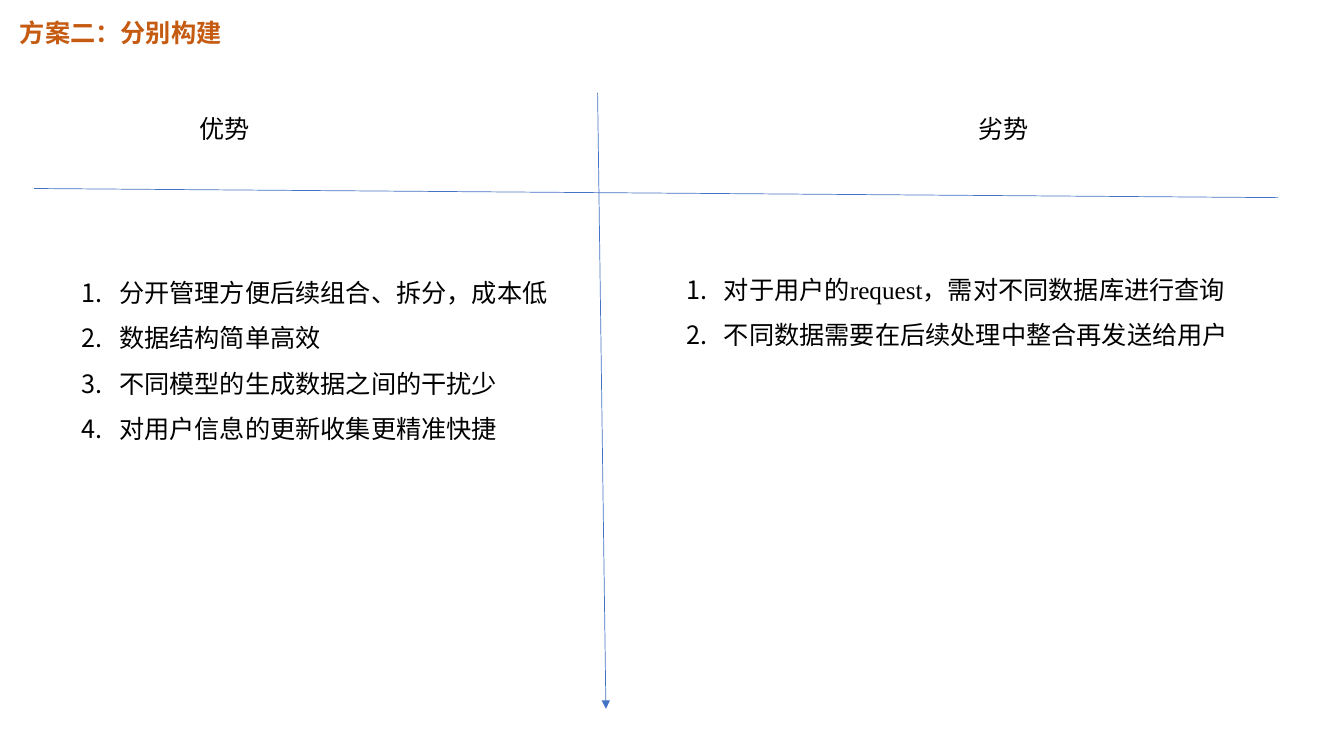
from dataclasses import dataclass

from lxml.etree import SubElement
from pptx import Presentation
from pptx.dml.color import RGBColor
from pptx.enum.shapes import MSO_CONNECTOR
from pptx.enum.text import MSO_ANCHOR, MSO_AUTO_SIZE, PP_ALIGN
from pptx.oxml.ns import qn
from pptx.slide import Slide
from pptx.util import Cm, Pt


@dataclass(frozen=True)
class Theme:
    heading: RGBColor = RGBColor(0xC5, 0x5A, 0x11)
    text: RGBColor = RGBColor(0, 0, 0)
    axis: RGBColor = RGBColor(0x44, 0x72, 0xC4)
    size: Pt = Pt(18)
    axis_width: Pt = Pt(0.5)
    cjk_font: str = "Noto Sans CJK SC"
    latin_font: str = "Times New Roman"


THEME = Theme()


@dataclass(frozen=True)
class TextBlock:
    placeholder: int
    box: tuple[float, float, float, float]  # left, top, width, height in cm
    lines: tuple[str, ...]
    color: RGBColor = THEME.text
    font: str = THEME.cjk_font
    bold: bool = False
    numbered: bool = False


@dataclass(frozen=True)
class Axis:
    start: tuple[float, float]
    end: tuple[float, float]
    arrow: bool = False


BLOCKS = (
    TextBlock(0, (0.25, 0.3, 5.69, 1.02), ("方案二：分别构建",),
              color=THEME.heading, bold=True),
    TextBlock(1, (4.78, 2.74, 1.8, 1.02), ("优势",)),
    TextBlock(3, (24.41, 2.74, 1.8, 1.02), ("劣势",)),
    TextBlock(2, (1.8, 6.48, 12.37, 4.7), (
        "分开管理方便后续组合、拆分，成本低",
        "数据结构简单高效",
        "不同模型的生成数据之间的干扰少",
        "对用户信息的更新收集更精准快捷",
    ), numbered=True),
    TextBlock(4, (17.04, 6.4, 14.3, 2.41), (
        "对于用户的request，需对不同数据库进行查询",
        "不同数据需要在后续处理中整合再发送给用户",
    ), font=THEME.latin_font, numbered=True),
)

AXES = (
    Axis((15.06, 2.34), (15.27, 17.86), arrow=True),
    Axis((0.86, 4.75), (32.21, 4.98)),
)


def fill_block(slide: Slide, block: TextBlock) -> None:
    holder = slide.placeholders[block.placeholder]
    holder.left, holder.top, holder.width, holder.height = map(Cm, block.box)
    frame = holder.text_frame
    frame.word_wrap = block.numbered
    frame.auto_size = MSO_AUTO_SIZE.SHAPE_TO_FIT_TEXT
    frame.vertical_anchor = MSO_ANCHOR.TOP

    for index, line in enumerate(block.lines):
        paragraph = frame.add_paragraph() if index else frame.paragraphs[0]
        paragraph.alignment = PP_ALIGN.LEFT
        paragraph.line_spacing = 1.5 if block.numbered else 1.0
        paragraph.space_before = paragraph.space_after = Pt(0)
        if block.numbered:
            properties = paragraph._p.get_or_add_pPr()
            properties.set("marL", str(Cm(0.95)))
            properties.set("indent", str(-Cm(0.95)))
            SubElement(properties, qn("a:buFont"), typeface=THEME.cjk_font)
            SubElement(properties, qn("a:buAutoNum"), type="arabicPeriod")

        run = paragraph.add_run()
        run.text = line
        run.font.size = THEME.size
        run.font.bold = block.bold
        run.font.color.rgb = block.color
        run.font.name = block.font
        SubElement(run._r.get_or_add_rPr(), qn("a:ea"), typeface=THEME.cjk_font)


def draw_axis(slide: Slide, axis: Axis) -> None:
    connector = slide.shapes.add_connector(
        MSO_CONNECTOR.STRAIGHT, *map(Cm, axis.start + axis.end))
    connector.line.color.rgb = THEME.axis
    connector.line.width = THEME.axis_width
    if axis.arrow:
        SubElement(connector.line._get_or_add_ln(), qn("a:tailEnd"), type="triangle")
    SubElement(connector._element.spPr, qn("a:effectLst"))


def main() -> None:
    presentation = Presentation()
    presentation.slide_width, presentation.slide_height = Cm(33.87), Cm(19.05)
    comparison_layout = presentation.slide_layouts[4]
    slide = presentation.slides.add_slide(comparison_layout)

    # Title, column headings and numbered lists
    for block in BLOCKS:
        fill_block(slide, block)

    # Dividing lines
    for axis in AXES:
        draw_axis(slide, axis)

    presentation.save("out.pptx")


if __name__ == "__main__":
    main()
